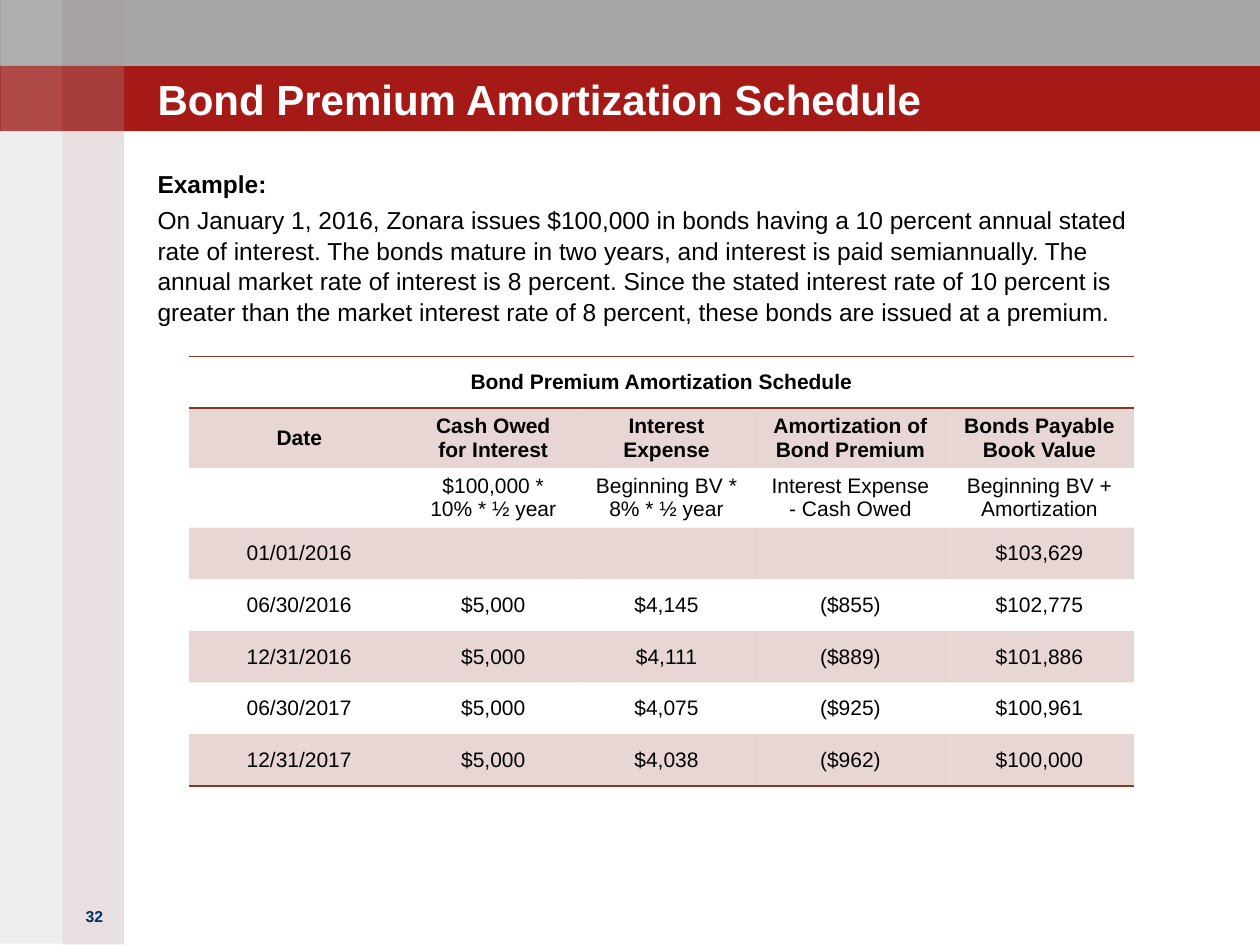
from dataclasses import dataclass
from lxml.etree import SubElement
from pptx import Presentation
from pptx.dml.color import RGBColor as Rgb
from pptx.enum.shapes import MSO_SHAPE as Shape
from pptx.enum.text import MSO_ANCHOR as Anchor, MSO_AUTO_SIZE as Fit, PP_ALIGN as Align
from pptx.oxml.ns import qn
from pptx.util import Inches, Pt


@dataclass(frozen=True)
class Theme:
    font: str = "Arial"
    gray: str = "A6A6A6"
    red: str = "A51A17"
    rose: str = "A08284"
    ash: str = "938F8F"
    white: str = "FFFFFF"
    black: str = "000000"
    navy: str = "002E62"
    rust: str = "873624"
    head: int = 24
    text: int = 14
    cell: int = 12
    page: int = 9


@dataclass(frozen=True)
class Bar:
    left: float
    top: float
    wide: float
    high: float
    color: str
    alpha: int = 100
    turn: int = 0


T = Theme()
NO_STYLE = "{2D5ABB26-0587-4C30-8999-92F81FD0307C}"

BARS = [
    Bar(0, 0, 10, 0.52, T.gray),
    Bar(0, 0.52, 10, 0.52, T.red),
    Bar(-3.01, 3.5, 7.5, 0.49, T.rose, 25, 90),
    Bar(-3.5, 3.5, 7.49, 0.49, T.ash, 15, 90),
] + [
    Bar(left, top, 0.52, 0.49, T.white, alpha, 90)
    for top in (0.01, 0.54)
    for left, alpha in ((0.48, 5), (-0.01, 15))
]

COLS = [1.75, 1.33, 1.42, 1.5, 1.5]
ROW = 0.41
ROWS = [
    ["Bond Premium Amortization Schedule", "", "", "", ""],
    ["Date", "Cash Owed for Interest", "Interest Expense",
     "Amortization of Bond Premium", "Bonds Payable Book Value"],
    ["", "$100,000 * 10% * ½ year", "Beginning BV * 8% * ½ year",
     "Interest Expense - Cash Owed", "Beginning BV + Amortization"],
    ["01/01/2016", "", "", "", "$103,629"],
    ["06/30/2016", "$5,000", "$4,145", "($855)", "$102,775"],
    ["12/31/2016", "$5,000", "$4,111", "($889)", "$101,886"],
    ["06/30/2017", "$5,000", "$4,075", "($925)", "$100,961"],
    ["12/31/2017", "$5,000", "$4,038", "($962)", "$100,000"],
]
STORY = (
    "On January 1, 2016, Zonara issues $100,000 in bonds having a 10 percent "
    "annual stated rate of interest. The bonds mature in two years, and interest "
    "is paid semiannually. The annual market rate of interest is 8 percent. Since "
    "the stated interest rate of 10 percent is greater than the market interest "
    "rate of 8 percent, these bonds are issued at a premium."
)


def write(par, text: str, size: int, color: str = T.black, bold: bool = False,
          align=Align.LEFT, before: float = 0, lines: float = 1) -> None:
    """Put one formatted run in a paragraph."""
    par.alignment = align
    par.space_before = Pt(before)
    par.line_spacing = lines
    run = par.add_run()
    run.text = text
    font = run.font
    font.name, font.size, font.bold = T.font, Pt(size), bold
    font.color.rgb = Rgb.from_string(color)


def paint(fill, color: str, alpha: int = 100) -> None:
    """Fill with a solid colour of the given opacity."""
    fill.solid()
    fill.fore_color.rgb = Rgb.from_string(color)
    if alpha < 100:
        tone = fill._xPr.find(qn("a:solidFill"))[0]
        SubElement(tone, qn("a:alpha"), val=str(alpha * 1000))


def place(item, left: float, top: float, wide: float, high: float):
    """Move a placeholder, clear its insets and bring it to the front."""
    item.left, item.top = Inches(left), Inches(top)
    item.width, item.height = Inches(wide), Inches(high)
    frame = item.text_frame
    frame.margin_left = frame.margin_right = frame.margin_top = frame.margin_bottom = 0
    frame.word_wrap, frame.auto_size = True, Fit.NONE
    tree = item._element.getparent()
    tree.append(item._element)
    return frame


def draw_bar(slide, bar: Bar) -> None:
    box = slide.shapes.add_shape(Shape.RECTANGLE, Inches(bar.left), Inches(bar.top),
                                 Inches(bar.wide), Inches(bar.high))
    box.rotation = bar.turn
    box.shadow.inherit = False
    box.line.fill.background()
    paint(box.fill, bar.color, bar.alpha)


def rule(cell, side: str) -> None:
    """Draw a one-point border on one side of a cell."""
    line = SubElement(cell._tc.get_or_add_tcPr(), qn(f"a:ln{side}"), w=str(Pt(1)))
    fill = SubElement(line, qn("a:solidFill"))
    SubElement(fill, qn("a:srgbClr"), val=T.rust)


def draw_table(slide) -> None:
    frame = slide.shapes.add_table(len(ROWS), len(COLS), Inches(1.5), Inches(2.83),
                                   Inches(sum(COLS)), Inches(ROW * len(ROWS)))
    table = frame.table
    table.first_row = table.horz_banding = False
    table._tbl.tblPr.find(qn("a:tableStyleId")).text = NO_STYLE
    for col, wide in zip(table.columns, COLS):
        col.width = Inches(wide)
    table.cell(0, 0).merge(table.cell(0, len(COLS) - 1))
    last = len(ROWS) - 1
    for r, row in enumerate(ROWS):
        table.rows[r].height = Inches(ROW)
        for c, text in enumerate(row):
            cell = table.cell(r, c)
            cell.vertical_anchor = Anchor.MIDDLE
            if r == 0:
                rule(cell, "T")
            if r in (0, last):
                rule(cell, "B")
            if r % 2:
                paint(cell.fill, T.rust, 20)
            else:
                cell.fill.background()
            if text:
                write(cell.text_frame.paragraphs[0], text, T.cell,
                      bold=r < 2, align=Align.CENTER)


def main() -> None:
    deck = Presentation()
    deck.slide_width, deck.slide_height = Inches(10), Inches(7.5)
    slide = deck.slides.add_slide(deck.slide_layouts[1])

    # Bands along the top and left edges
    for bar in BARS:
        draw_bar(slide, bar)

    # Page number
    page = slide.shapes.add_textbox(Inches(0.5), Inches(7.15), Inches(0.5), Inches(0.5))
    page.text_frame.word_wrap = True
    write(page.text_frame.paragraphs[0], "32", T.page, color=T.navy, bold=True,
          align=Align.CENTER)

    # Title
    title, body = slide.placeholders
    frame = place(title, 1.25, 0.31, 7.83, 0.67)
    frame.vertical_anchor = Anchor.BOTTOM
    write(frame.paragraphs[0], "Bond Premium Amortization Schedule", T.head,
          color=T.white, bold=True)

    # Example text
    frame = place(body, 1.25, 1.33, 8, 5.25)
    for par, text, bold, before in (
        (frame.paragraphs[0], "Example:", True, 0),
        (frame.add_paragraph(), STORY, False, 2.8),
    ):
        props = par._p.get_or_add_pPr()
        props.set("marL", "0")
        props.set("indent", "0")
        SubElement(props, qn("a:buNone"))
        write(par, text, T.text, bold=bold, before=before, lines=1.05)

    # Schedule
    draw_table(slide)
    deck.save("out.pptx")


if __name__ == "__main__":
    main()
